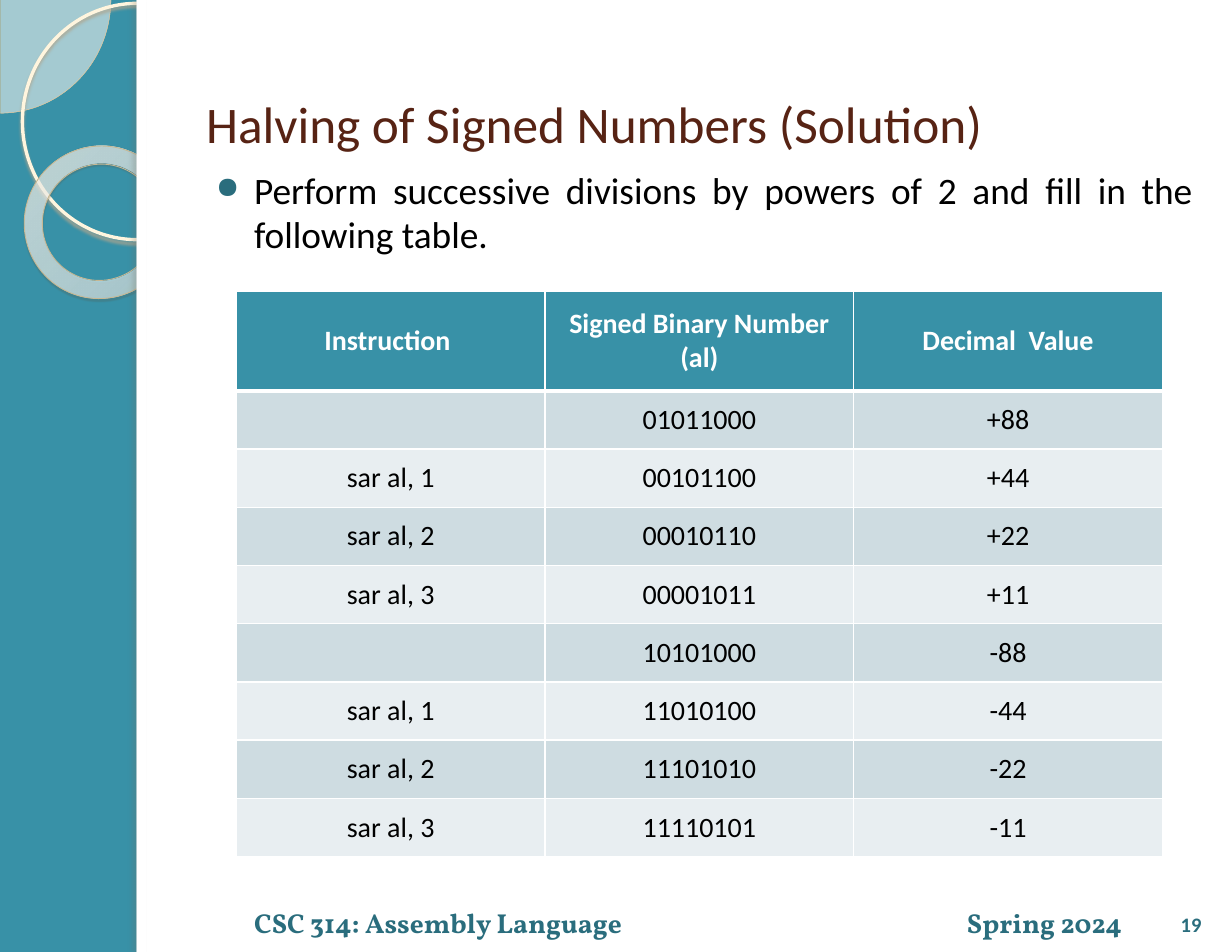
import pptx
import pptx.util
import pptx.dml.color
import pptx.enum.shapes
import pptx.enum.text
import pptx.oxml
import pptx.oxml.ns

Inches = pptx.util.Inches
Pt = pptx.util.Pt
RGBColor = pptx.dml.color.RGBColor
SHAPE = pptx.enum.shapes.MSO_SHAPE
ALIGN = pptx.enum.text.PP_ALIGN
ANCHOR = pptx.enum.text.MSO_ANCHOR
qn = pptx.oxml.ns.qn

TEAL = RGBColor(0x38, 0x91, 0xA7)
DARK_TEAL = RGBColor(0x2A, 0x6D, 0x7D)
BROWN = RGBColor(0x57, 0x23, 0x14)
CREAM = RGBColor(0xFE, 0xFA, 0xF4)
RING = RGBColor(0xFF, 0xF5, 0xDE)
TAN = RGBColor(0xD3, 0xC3, 0x9F)
DONUT_LINE = RGBColor(0xC7, 0xB8, 0x93)
WHITE = RGBColor(0xFF, 0xFF, 0xFF)
BLACK = RGBColor(0, 0, 0)
BANDS = [RGBColor(0xCE, 0xDC, 0xE1), RGBColor(0xE8, 0xEE, 0xF1)]

HEADERS = ["Instruction ", "Signed Binary Number (al)", "Decimal  Value"]
ROWS = [
    ["", "01011000", "+88"],
    ["sar al, 1", "00101100", "+44"],
    ["sar al, 2", "00010110", "+22"],
    ["sar al, 3", "00001011", "+11"],
    ["", "10101000", "-88"],
    ["sar al, 1", "11010100", "-44"],
    ["sar al, 2", "11101010", "-22"],
    ["sar al, 3", "11110101", "-11"],
]


def xml(text):
    """Parse a fragment whose root is in the a: namespace."""
    root, rest = text.split(" ", 1)
    return pptx.oxml.parse_xml(f"{root} {pptx.oxml.ns.nsdecls('a')} {rest}")


def add_shape(slide, kind, x, y, w, h, fill=None, line=None, width=0):
    sp = slide.shapes.add_shape(kind, Inches(x), Inches(y), Inches(w), Inches(h))
    sp.shadow.inherit = False
    if fill is None:
        sp.fill.background()
    else:
        sp.fill.solid()
        sp.fill.fore_color.rgb = fill
    if line is None:
        sp.line.fill.background()
    else:
        sp.line.color.rgb = line
        sp.line.width = Pt(width)
    return sp


def add_shadow(sp, color, alpha, blur, dist, angle):
    effects = sp._element.spPr.find(qn("a:effectLst"))
    effects.append(xml(
        f'<a:outerShdw blurRad="{Pt(blur)}" dist="{Pt(dist)}" dir="{angle * 60000}" '
        f'algn="tl" rotWithShape="0"><a:srgbClr val="{color}">'
        f'<a:alpha val="{alpha * 1000}"/></a:srgbClr></a:outerShdw>'))


def set_ring_gradient(sp):
    stops = [(0, "FFFCF6", 70), (70, "FFFEFB", 55), (100, "F0D28E", 60)]
    gs = "".join(f'<a:gs pos="{pos * 1000}"><a:srgbClr val="{color}">'
                 f'<a:alpha val="{alpha * 1000}"/></a:srgbClr></a:gs>'
                 for pos, color, alpha in stops)
    grad = xml(f'<a:gradFill rotWithShape="1"><a:gsLst>{gs}</a:gsLst><a:path path="circle">'
               '<a:fillToRect l="-408000" t="-50000" r="508000" b="150000"/>'
               '</a:path></a:gradFill>')
    spPr = sp._element.spPr
    spPr.replace(spPr.find(qn("a:noFill")), grad)


def format_text(tf, size, color, font="Calibri", bold=False, align=ALIGN.LEFT):
    for p in tf.paragraphs:
        p.alignment = align
        for f in [p.font] + [r.font for r in p.runs]:
            f.name, f.size, f.bold = font, Pt(size), bold
            f.color.rgb = color


def add_text(slide, text, x, y, w, h, anchor, **style):
    sp = slide.shapes.add_textbox(Inches(x), Inches(y), Inches(w), Inches(h))
    tf = sp.text_frame
    tf.word_wrap = True
    tf.vertical_anchor = anchor
    tf.text = text
    format_text(tf, **style)
    return tf


def add_side_panel(slide):
    # Quarter disc, laid twice for a denser tint
    for _ in range(2):
        pie = add_shape(slide, SHAPE.PIE, -0.98, -1.02, 1.97, 2.03, CREAM, TAN, 0.25)
        pie.adjustments[0], pie.adjustments[1] = 0, 54
        color = pie._element.spPr.find(qn("a:solidFill"))[0]
        color.append(xml('<a:alpha val="33000"/>'))
    # Rings
    circle = add_shape(slide, SHAPE.OVAL, 0.2, 0.03, 2.05, 2.11, None, RING, 2.15)
    add_shadow(circle, "B0A68F", 85, 2, 2, 90)
    donut = add_shape(slide, SHAPE.DONUT, 0.22, 1.3, 1.35, 1.37, None, DONUT_LINE, 0.58)
    donut.adjustments[0] = 0.12
    donut.rotation = 38.6
    set_ring_gradient(donut)
    add_shadow(donut, "5A5444", 35, 1, 1.2, 75)
    # White page and its shaded edge
    add_shape(slide, SHAPE.RECTANGLE, 1.22, 0, 9.78, 8.5, WHITE)
    edge = add_shape(slide, SHAPE.RECTANGLE, 1.22, 0, 0.09, 8.5, WHITE)
    add_shadow(edge, "736F63", 25, 3, 3, 180)


def add_title(slide, text):
    sp = slide.shapes.title
    sp.left, sp.top, sp.width, sp.height = Inches(1.74), Inches(0.39), Inches(9.02), Inches(1.42)
    sp.text_frame.text = text
    sp.text_frame.vertical_anchor = ANCHOR.MIDDLE
    format_text(sp.text_frame, 33, BROWN)
    # Bring in front of the page panel
    slide.shapes._spTree.append(sp._element)


def add_bullet(slide, text):
    tf = add_text(slide, text, 1.73, 1.44, 9.02, 6.67, ANCHOR.TOP,
                  size=24, color=BLACK, align=ALIGN.JUSTIFY)
    p = tf.paragraphs[0]
    p.space_after = Pt(18)
    pPr = p._p.get_or_add_pPr()
    pPr.set("marL", str(Inches(0.44)))
    pPr.set("indent", str(Inches(-0.34)))
    marks = [f'<a:buClr ><a:srgbClr val="{DARK_TEAL}"/></a:buClr>',
             '<a:buSzPct val="80000"/>', '<a:buChar char="●"/>']
    at = list(pPr).index(pPr.find(qn("a:spcAft"))) + 1
    for i, mark in enumerate(marks):
        pPr.insert(at + i, xml(mark))


def add_footer(slide):
    tf = add_text(slide, "CSC 314: Assembly Language\tSpring 2024", 1.7, 7.74, 8.91, 0.69,
                  ANCHOR.BOTTOM, size=17.6, color=DARK_TEAL, font="Vollkorn", bold=True)
    tf.margin_left = Inches(0.57)
    pPr = tf.paragraphs[0]._p.get_or_add_pPr()
    pPr.insert(0, xml(f'<a:tabLst ><a:tab pos="{Inches(7.75)}" algn="r"/></a:tabLst>'))
    add_text(slide, "19", 10.36, 7.82, 0.55, 0.59, ANCHOR.BOTTOM,
             size=13.2, color=DARK_TEAL, bold=True, align=ALIGN.CENTER)


def set_borders(cell, top, bottom):
    tcPr = cell._tc.get_or_add_tcPr()
    for side, width in (("L", 1), ("R", 1), ("T", top), ("B", bottom)):
        tcPr.append(xml(f'<a:ln{side} w="{Pt(width)}"><a:solidFill>'
                        f'<a:srgbClr val="{WHITE}"/></a:solidFill></a:ln{side}>'))


def add_sar_table(slide):
    data = [HEADERS] + ROWS
    table = slide.shapes.add_table(len(data), len(HEADERS), Inches(2.11), Inches(2.6),
                                   Inches(8.27), Inches(5.05)).table
    for col in table.columns:
        col.width = Inches(8.27 / len(HEADERS))
    for i, values in enumerate(data):
        header = i == 0
        table.rows[i].height = Inches(0.89 if header else 0.52)
        for j, value in enumerate(values):
            cell = table.cell(i, j)
            cell.text = value
            cell.vertical_anchor = ANCHOR.MIDDLE
            format_text(cell.text_frame, 18, WHITE if header else BLACK,
                        bold=header, align=ALIGN.CENTER)
            set_borders(cell, 3 if i == 1 else 1, 3 if header else 1)
            cell.fill.solid()
            cell.fill.fore_color.rgb = TEAL if header else BANDS[(i - 1) % 2]


def main():
    prs = pptx.Presentation()
    prs.slide_width, prs.slide_height = Inches(11), Inches(8.5)
    slide = prs.slides.add_slide(prs.slide_layouts[5])
    slide.background.fill.solid()
    slide.background.fill.fore_color.rgb = TEAL
    add_side_panel(slide)
    add_footer(slide)
    add_title(slide, "Halving of Signed Numbers (Solution)")
    add_bullet(slide, "Perform successive divisions by powers of 2 "
                      "and fill in the following table.")
    add_sar_table(slide)
    prs.save("out.pptx")


if __name__ == "__main__":
    main()
